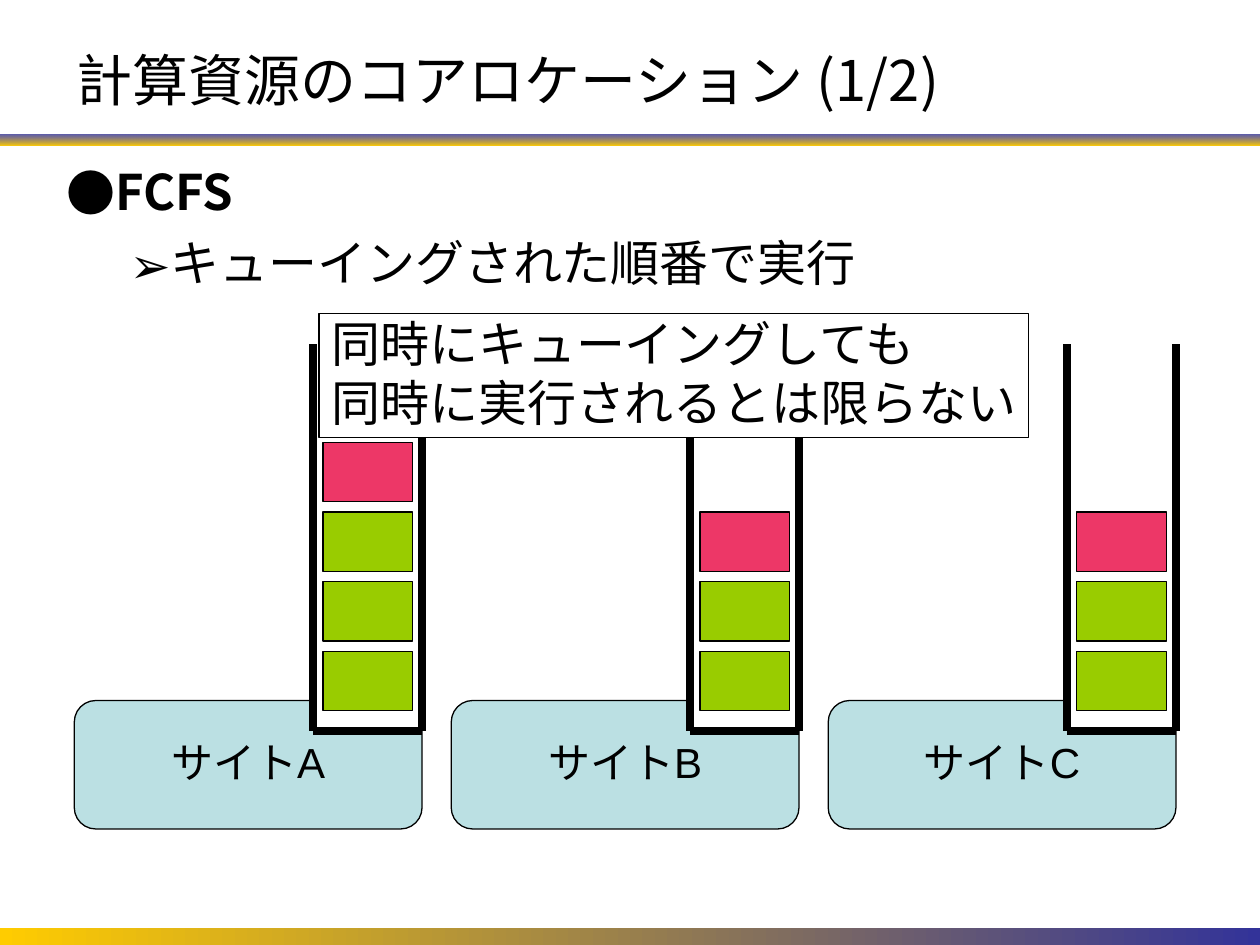
from dataclasses import dataclass

from lxml.etree import SubElement
from pptx import Presentation
from pptx.dml.color import RGBColor
from pptx.enum.shapes import MSO_CONNECTOR, MSO_SHAPE
from pptx.enum.text import MSO_ANCHOR, PP_ALIGN
from pptx.oxml.ns import qn
from pptx.shapes.autoshape import Shape
from pptx.slide import Slide
from pptx.util import Pt

BLACK = RGBColor(0x00, 0x00, 0x00)
WHITE = RGBColor(0xFF, 0xFF, 0xFF)
BLUE = RGBColor(0x33, 0x33, 0x99)
GOLD = RGBColor(0xFF, 0xCC, 0x00)
PALE_BLUE = RGBColor(0xBB, 0xE0, 0xE3)
GREEN = RGBColor(0x99, 0xCC, 0x00)
PINK = RGBColor(0xED, 0x37, 0x67)
SANS = "Noto Sans CJK JP"
LATIN = "Arial"

SITE_LEFT, SITE_TOP, SITE_WIDTH, SITE_HEIGHT = 42.5, 400.3, 198.7, 73.4
SITE_PITCH = 215.4
QUEUE_TOP, QUEUE_BOTTOM, QUEUE_WIDTH = 196.6, 417.6, 62.2
JOB_WIDTH, JOB_HEIGHT, JOB_PITCH, LAST_JOB_TOP = 51.1, 33.9, 39.8, 372.2


@dataclass(frozen=True)
class Area:
    left: float
    top: float
    width: float
    height: float

    def lengths(self) -> tuple[int, ...]:
        return Pt(self.left), Pt(self.top), Pt(self.width), Pt(self.height)


@dataclass(frozen=True)
class Site:
    name: str
    waiting: int


@dataclass(frozen=True)
class Bullet:
    text: str
    mark: str
    level: int
    margin: float
    hanging: float
    before: float
    bold: bool


SITES = [Site("サイトA", 3), Site("サイトB", 2), Site("サイトC", 2)]
BULLETS = [
    Bullet("FCFS", "●", 0, 27, 27, 0, True),
    Bullet("キューイングされた順番で実行", "➢", 1, 58.5, 22.5, 7, False),
]


def format_text(box: Shape, size: float, name: str) -> None:
    for para in box.text_frame.paragraphs:
        for span in para.runs:
            span.font.size = Pt(size)
            span.font.name = name
            span.font.color.rgb = BLACK
            east_asian = SubElement(span.font._element, qn("a:ea"))
            east_asian.set("typeface", SANS)


def set_margins(box: Shape, top: float) -> None:
    frame = box.text_frame
    frame.margin_left = frame.margin_right = Pt(7.2)
    frame.margin_top, frame.margin_bottom = Pt(top), Pt(3.6)


def add_block(page: Slide, kind: MSO_SHAPE, area: Area, fill: RGBColor, outlined: bool = True) -> Shape:
    block = page.shapes.add_shape(kind, *area.lengths())
    block.shadow.inherit = False
    block.fill.solid()
    block.fill.fore_color.rgb = fill
    if outlined:
        block.line.color.rgb = BLACK
        block.line.width = Pt(0.75)
    else:
        block.line.fill.background()
    return block


def add_band(page: Slide, area: Area, angle: float, start_alpha: int) -> None:
    band = add_block(page, MSO_SHAPE.RECTANGLE, area, BLUE, outlined=False)
    band.fill.gradient()
    band.fill.gradient_angle = angle
    for stop, position, color in zip(band.fill.gradient_stops, (0, 1), (BLUE, GOLD)):
        stop.position = position
        stop.color.rgb = color
    if start_alpha < 100:
        first_color = band._element.spPr.find(".//" + qn("a:srgbClr"))
        SubElement(first_color, qn("a:alpha")).set("val", str(start_alpha * 1000))


def add_wall(page: Slide, start: tuple[float, float], end: tuple[float, float]) -> None:
    points = [Pt(value) for value in (*start, *end)]
    wall = page.shapes.add_connector(MSO_CONNECTOR.STRAIGHT, *points)
    wall.line.color.rgb = BLACK
    wall.line.width = Pt(4.5)
    SubElement(wall._element.spPr, qn("a:effectLst"))


def add_queue(page: Slide, left: float, waiting: int) -> None:
    right = left + QUEUE_WIDTH
    inside = Area(left, QUEUE_TOP + 5.7, QUEUE_WIDTH, QUEUE_BOTTOM - QUEUE_TOP - 5.7)
    add_block(page, MSO_SHAPE.RECTANGLE, inside, WHITE, outlined=False)
    for side in (left, right):
        add_wall(page, (side, QUEUE_TOP), (side, QUEUE_BOTTOM))
    add_wall(page, (left, QUEUE_BOTTOM), (right, QUEUE_BOTTOM))
    job_left = left + (QUEUE_WIDTH - JOB_WIDTH) / 2
    for index, color in enumerate([GREEN] * waiting + [PINK]):
        area = Area(job_left, LAST_JOB_TOP - index * JOB_PITCH, JOB_WIDTH, JOB_HEIGHT)
        add_block(page, MSO_SHAPE.RECTANGLE, area, color)


def add_site(page: Slide, site: Site, left: float) -> None:
    area = Area(left, SITE_TOP, SITE_WIDTH, SITE_HEIGHT)
    card = add_block(page, MSO_SHAPE.ROUNDED_RECTANGLE, area, PALE_BLUE)
    frame = card.text_frame
    frame.text = site.name
    frame.word_wrap = False
    frame.vertical_anchor = MSO_ANCHOR.MIDDLE
    frame.paragraphs[0].alignment = PP_ALIGN.CENTER
    set_margins(card, 0)
    format_text(card, 24, LATIN)
    add_queue(page, left + SITE_WIDTH - QUEUE_WIDTH, site.waiting)


def add_callout(page: Slide) -> None:
    box = add_block(page, MSO_SHAPE.RECTANGLE, Area(182.3, 179.2, 405.5, 70.9), WHITE)
    frame = box.text_frame
    frame.text = "同時にキューイングしても\n同時に実行されるとは限らない"
    frame.word_wrap = False
    frame.vertical_anchor = MSO_ANCHOR.TOP
    for para in frame.paragraphs:
        para.alignment = PP_ALIGN.LEFT
    set_margins(box, 0)
    format_text(box, 28, LATIN)


def add_title(page: Slide) -> None:
    box = page.shapes.add_textbox(*Area(36.7, 20.2, 658.8, 49.7).lengths())
    box.text_frame.text = "計算資源のコアロケーション (1/2)"
    box.text_frame.word_wrap = True
    box.text_frame.vertical_anchor = MSO_ANCHOR.MIDDLE
    set_margins(box, 3.6)
    format_text(box, 32, SANS)


def add_bullets(page: Slide) -> None:
    box = page.shapes.add_textbox(*Area(31, 88.6, 668.9, 85).lengths())
    frame = box.text_frame
    frame.text = "\n".join(bullet.text for bullet in BULLETS)
    frame.word_wrap = True
    set_margins(box, 3.6)
    for para, bullet in zip(frame.paragraphs, BULLETS):
        para.level = bullet.level
        para.space_before = Pt(bullet.before)
        properties = para._p.get_or_add_pPr()
        properties.set("marL", str(Pt(bullet.margin)))
        properties.set("indent", str(-Pt(bullet.hanging)))
        mark_color = SubElement(properties, qn("a:buClr"))
        SubElement(mark_color, qn("a:srgbClr")).set("val", str(BLACK))
        SubElement(properties, qn("a:buFont")).set("typeface", SANS)
        SubElement(properties, qn("a:buChar")).set("char", bullet.mark)
        para.runs[0].font.bold = bullet.bold
    format_text(box, 28, SANS)


def main() -> None:
    deck = Presentation()
    deck.slide_width, deck.slide_height = Pt(720), Pt(540)
    page = deck.slides.add_slide(deck.slide_layouts[6])
    add_band(page, Area(0, 77, 720, 6), 270, 80)
    add_band(page, Area(0, 530.6, 720, 9.4), 180, 100)
    add_title(page)
    for index, site in enumerate(SITES):
        add_site(page, site, SITE_LEFT + index * SITE_PITCH)
    add_callout(page)
    add_bullets(page)
    deck.save("out.pptx")


if __name__ == "__main__":
    main()
